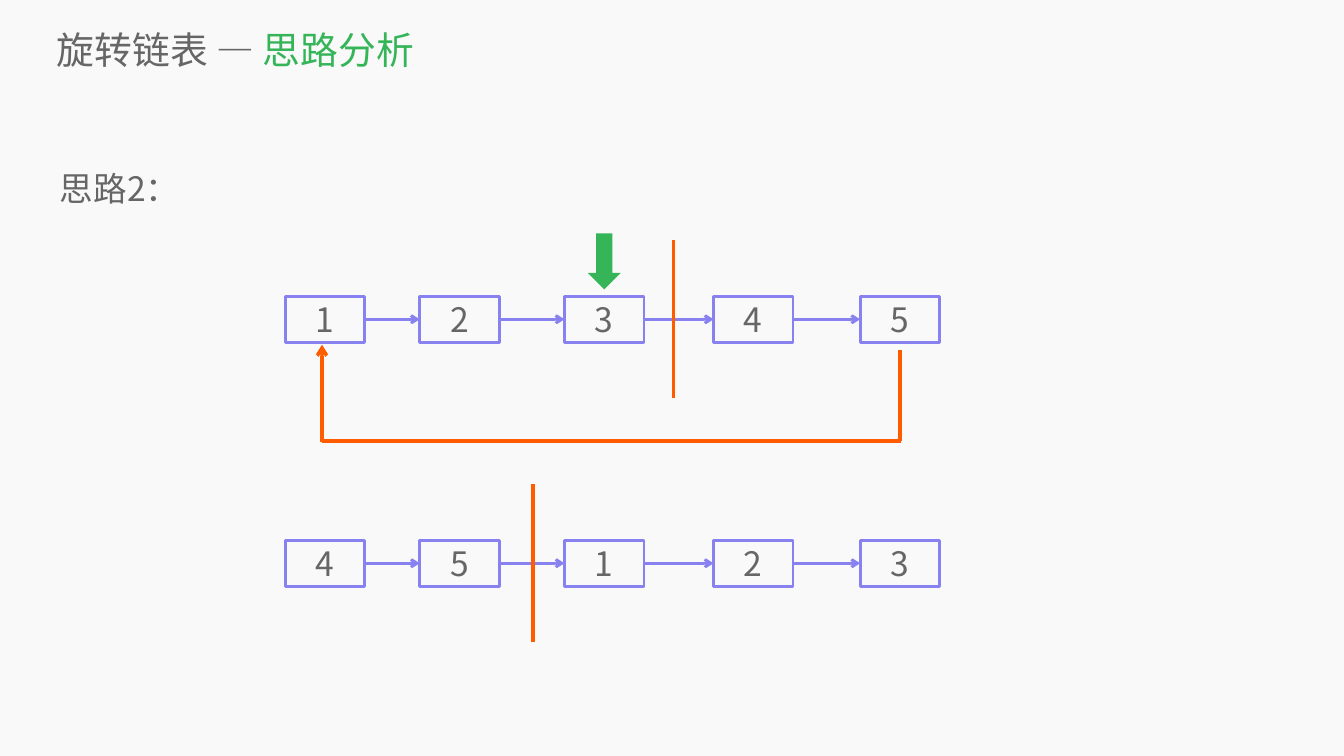
from lxml.etree import SubElement
from pptx import Presentation
from pptx.dml.color import RGBColor
from pptx.enum.shapes import MSO_CONNECTOR, MSO_SHAPE
from pptx.enum.text import MSO_ANCHOR, PP_ALIGN
from pptx.oxml.ns import qn
from pptx.util import Inches, Pt

WIDE, HIGH = Inches(26.67), Inches(15)
FONT = "Noto Sans CJK SC"
HUES = {"back": "F9F9F9", "text": "666666", "green": "35B558",
        "node": "8881F0", "cut": "FF5C00"}
STARTS = [21.22, 31.23, 42, 53.09, 64]
NODE_W, NODE_H = 5.92, 6.07


def hue(name):
    """Return the named colour."""
    return RGBColor.from_string(HUES[name])


def col(share):
    """Turn a percentage of the slide's width into a length."""
    return round(WIDE * share / 100)


def row(share):
    """Turn a percentage of the slide's height into a length."""
    return round(HIGH * share / 100)


def area(box):
    """Turn a box of percentages into lengths."""
    left, top, width, height = box
    return col(left), row(top), col(width), row(height)


def write(shape, parts, size, anchor, align=PP_ALIGN.LEFT):
    """Write one paragraph of (text, colour) parts and return it."""
    frame = shape.text_frame
    frame.word_wrap = True
    frame.vertical_anchor = anchor
    frame.margin_left = frame.margin_right = 0
    frame.margin_top = frame.margin_bottom = 0
    para = frame.paragraphs[0]
    para.alignment = align
    para.font.size = Pt(size)
    para.font.name = FONT
    for text, name in parts:
        run = para.add_run()
        run.text = text
        run.font.color.rgb = hue(name)
        SubElement(run.font._element, qn("a:ea"), typeface=FONT)
    return para


def draw(shapes, start, end, name, weight, arrow=False):
    """Draw a straight line between two points given in percent."""
    line = shapes.add_connector(MSO_CONNECTOR.STRAIGHT, col(start[0]), row(start[1]),
                                col(end[0]), row(end[1]))
    line.line.color.rgb = hue(name)
    line.line.width = Pt(weight)
    if arrow:
        SubElement(line.line._get_or_add_ln(), qn("a:tailEnd"), type="arrow")
    SubElement(line._element.spPr, qn("a:effectLst"))
    return line


def label(slide, box, parts, size, anchor, space=1.0):
    """Place a text box."""
    para = write(slide.shapes.add_textbox(*area(box)), parts, size, anchor)
    para.line_spacing = space


def node(shapes, box, text):
    """Place one outlined list node."""
    shape = shapes.add_shape(MSO_SHAPE.RECTANGLE, *area(box))
    shape.shadow.inherit = False
    shape.fill.background()
    shape.line.color.rgb = hue("node")
    shape.line.width = Pt(4)
    write(shape, [(text, "text")], 48, MSO_ANCHOR.MIDDLE, PP_ALIGN.CENTER)
    return shape


def chain(shapes, top, values, cut):
    """Place a row of linked nodes, crossed by a cut line."""
    nodes = [node(shapes, (left, top, NODE_W, NODE_H), text)
             for left, text in zip(STARTS, values)]
    mid = top + NODE_H / 2
    for i in range(len(nodes) - 1):
        link = draw(shapes, (STARTS[i] + NODE_W, mid), (STARTS[i + 1], mid),
                    "node", 4, True)
        link.begin_connect(nodes[i], 3)
        link.end_connect(nodes[i + 1], 1)
    draw(shapes, (cut, top - 7.43), (cut, top + 13.4), "cut", 5)


def marker(slide, box):
    """Place the green arrow that points down at a node."""
    shape = slide.shapes.add_shape(MSO_SHAPE.DOWN_ARROW, *area(box))
    shape.shadow.inherit = False
    shape.fill.solid()
    shape.fill.fore_color.rgb = hue("green")
    shape.line.fill.background()


def loop(shapes, box):
    """Draw the path from the last node back to the first."""
    left, top, width, height = box
    right, base = left + width, top + height
    draw(shapes, (right, top + 0.67), (right, base), "cut", 5)
    draw(shapes, (right + 0.11, base), (left, base), "cut", 5)
    draw(shapes, (left, base + 0.2), (left, top), "cut", 5, True)


def main():
    """Build and save the slide."""
    deck = Presentation()
    deck.slide_width, deck.slide_height = WIDE, HIGH
    slide = deck.slides.add_slide(deck.slide_layouts[6])
    slide.background.fill.solid()
    slide.background.fill.fore_color.rgb = hue("back")
    label(slide, (4.24, 3.13, 94.34, 6.8),
          [("旋转链表 — ", "text"), ("思路分析", "green")], 54, MSO_ANCHOR.MIDDLE)
    label(slide, (4.46, 20.07, 91.04, 74.93),
          [("思路2：", "text")], 48, MSO_ANCHOR.TOP, 1.4)
    chain(slide.shapes, 39.2, "12345", 50.13)
    marker(slide, (STARTS[2] + NODE_W / 2 - 1.22, 30.87, 2.44, 7.4))
    loop(slide.shapes.add_group_shape().shapes, (23.96, 45.6, 43, 12.73))
    chain(slide.shapes.add_group_shape().shapes, 71.47, "45123", 39.67)
    deck.save("out.pptx")


if __name__ == "__main__":
    main()
